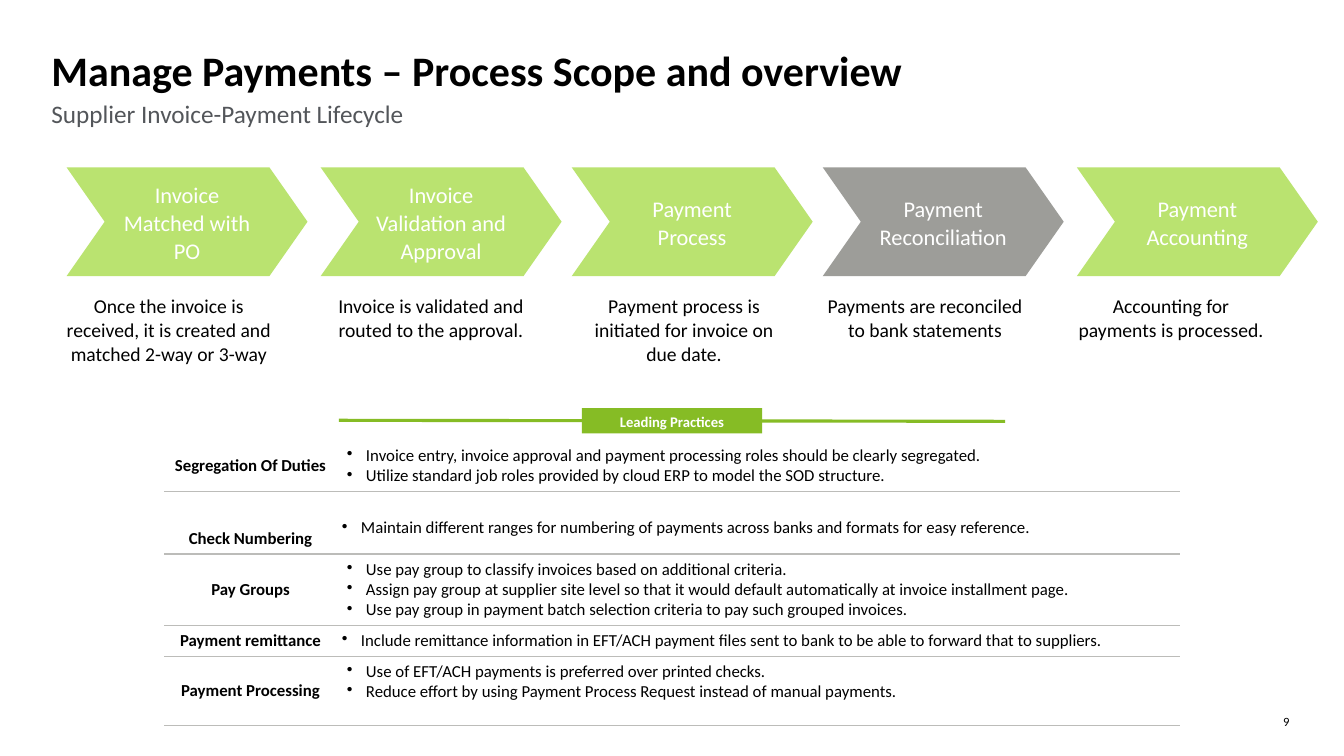
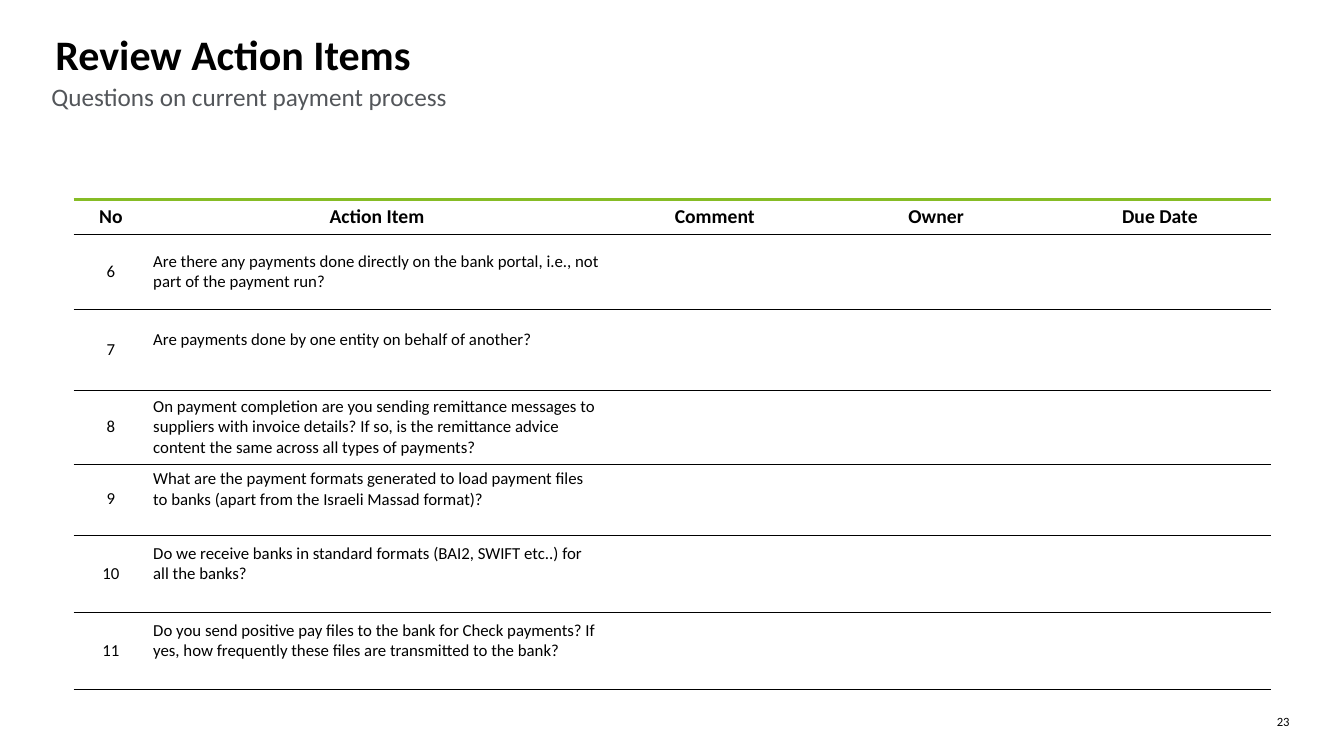
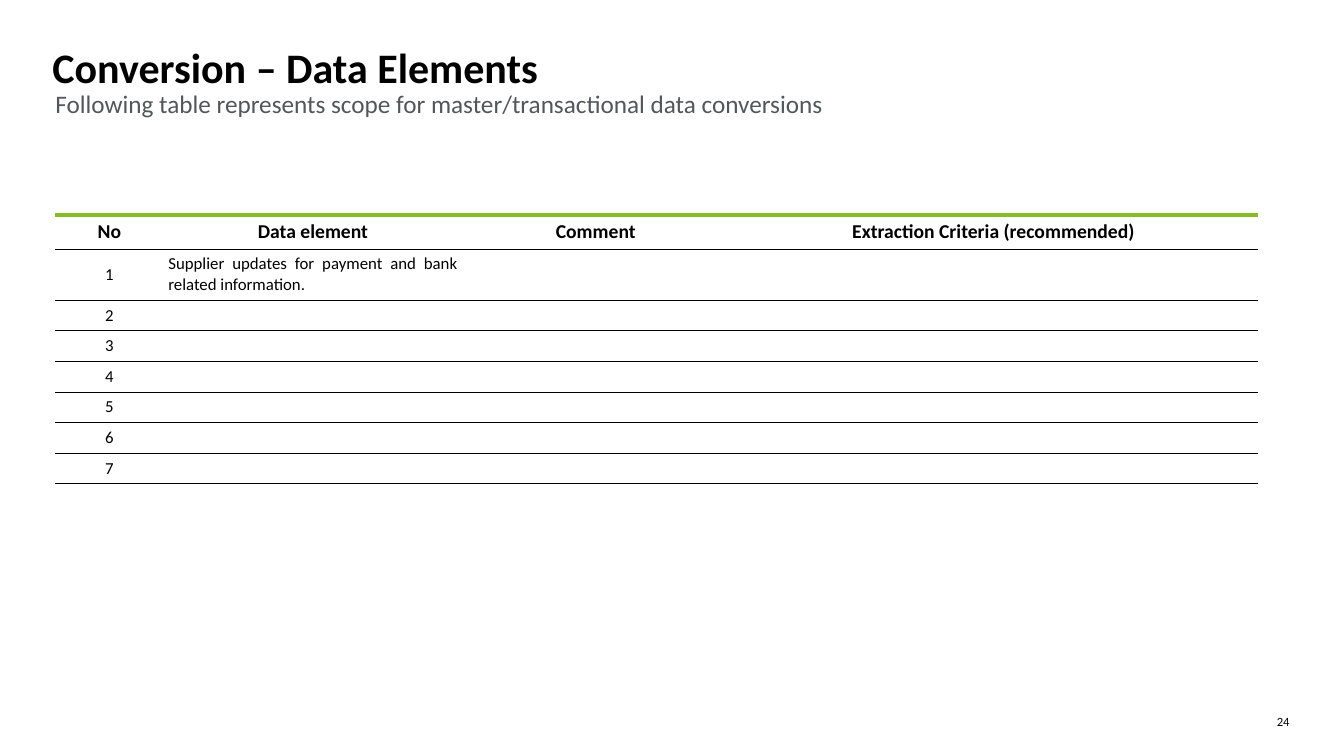
from dataclasses import dataclass

from lxml import etree
from pptx import Presentation
from pptx.dml.color import RGBColor
from pptx.enum.shapes import MSO_CONNECTOR, MSO_SHAPE
from pptx.enum.text import MSO_ANCHOR, MSO_AUTO_SIZE, PP_ALIGN
from pptx.oxml.ns import qn
from pptx.util import Pt

LEFT, CENTER, RIGHT, JUSTIFY = PP_ALIGN.LEFT, PP_ALIGN.CENTER, PP_ALIGN.RIGHT, PP_ALIGN.JUSTIFY
TOP, MIDDLE, BOTTOM = MSO_ANCHOR.TOP, MSO_ANCHOR.MIDDLE, MSO_ANCHOR.BOTTOM
NO_FIT = MSO_AUTO_SIZE.NONE
CHEVRON, RECTANGLE = MSO_SHAPE.CHEVRON, MSO_SHAPE.RECTANGLE
STRAIGHT = MSO_CONNECTOR.STRAIGHT

EMU_PER_PX = 9144  # 100 px to the inch
TITLE_ONLY = 5
NARROW = (5, 5, 5, 5)
WIDE = (10, 5, 10, 5)
LIFTED = (5, 5, 5, 25)


@dataclass(frozen=True)
class TextStyle:
    size: float
    color: str = "000000"
    bold: bool = False


class Theme:
    font = "Calibri"
    green = "86BC25"
    light_green = "BAE370"
    gray = "9D9D99"
    title = TextStyle(30, bold=True)
    subtitle = TextStyle(18, "53565A")
    step = TextStyle(16, "FFFFFF")
    caption = TextStyle(14)
    banner = TextStyle(10.5, "FFFFFF", True)
    header = TextStyle(14, bold=True)
    label = TextStyle(12, bold=True)
    body = TextStyle(12)
    page = TextStyle(9)
    accent_rule = (green, 3)
    black_rule = ("000000", 0.25)
    gray_rule = ("BCBCB9", 1)


@dataclass
class Cell:
    paragraphs: tuple = ()
    style: TextStyle = Theme.body
    align: PP_ALIGN = LEFT
    anchor: MSO_ANCHOR = MIDDLE
    margins: tuple = NARROW
    bullet: bool = False


def px(value):
    return value * EMU_PER_PX


def set_values(target, values):
    for name, value in values.items():
        setattr(target, name, value)


def add_bullet(paragraph):
    properties = paragraph._p.get_or_add_pPr()
    properties.set("marL", str(px(19)))
    properties.set("indent", str(px(-19)))
    etree.SubElement(properties, qn("a:buChar"), char="•")


def add_border(cell, side, rule):
    """Draw one cell edge; rule is (colour, points) or None for no line."""
    properties = cell._tc.get_or_add_tcPr()
    line = etree.SubElement(properties, qn(f"a:ln{side}"))
    if rule is None:
        etree.SubElement(line, qn("a:noFill"))
        return
    color, points = rule
    line.set("w", str(int(Pt(points))))
    fill = etree.SubElement(line, qn("a:solidFill"))
    etree.SubElement(fill, qn("a:srgbClr"), val=color)


class Deck:
    def __init__(self):
        self.presentation = Presentation()
        set_values(self.presentation, {"slide_width": px(1333), "slide_height": px(750)})
        self.slide = None

    def add_paragraphs(self, frame, paragraphs, style, align=LEFT, **paragraph_values):
        for index, text in enumerate(paragraphs):
            paragraph = frame.add_paragraph() if index else frame.paragraphs[0]
            set_values(paragraph, {"alignment": align, **paragraph_values})
            run = paragraph.add_run()
            run.text = text
            set_values(run.font, {"name": Theme.font, "size": Pt(style.size), "bold": style.bold})
            run.font.color.rgb = RGBColor.from_string(style.color)

    def format_frame(self, frame, anchor=TOP, margin=0):
        sides = ("left", "top", "right", "bottom")
        set_values(frame, {"word_wrap": True, "auto_size": NO_FIT, "vertical_anchor": anchor,
                           **{f"margin_{side}": px(margin) for side in sides}})

    def text(self, box, text, style, align=LEFT, **paragraph_values):
        frame = self.slide.shapes.add_textbox(*map(px, box)).text_frame
        self.format_frame(frame)
        self.add_paragraphs(frame, [text], style, align, **paragraph_values)

    def new_slide(self, number, title, title_at, subtitle, subtitle_box):
        layout = self.presentation.slide_layouts[TITLE_ONLY]
        self.slide = self.presentation.slides.add_slide(layout)
        heading = self.slide.shapes.title
        left, top = title_at
        set_values(heading, {"left": px(left), "top": px(top), "width": px(1224), "height": px(37)})
        self.format_frame(heading.text_frame, MIDDLE)
        self.add_paragraphs(heading.text_frame, [title], Theme.title)
        self.text(subtitle_box, subtitle, Theme.subtitle, space_after=Pt(10))
        self.text((1245, 708, 34, 15), str(number), Theme.page, RIGHT)

    def shape(self, kind, box, color, text, style, margin, adjustment=None):
        shape = self.slide.shapes.add_shape(kind, *map(px, box))
        shape.shadow.inherit = False
        shape.fill.solid()
        shape.fill.fore_color.rgb = RGBColor.from_string(color)
        shape.line.fill.background()
        if adjustment is not None:
            shape.adjustments[0] = adjustment
        self.format_frame(shape.text_frame, MIDDLE, margin)
        self.add_paragraphs(shape.text_frame, [text], style, CENTER, line_spacing=1.06)

    def line(self, ends, color, points):
        connector = self.slide.shapes.add_connector(STRAIGHT, *map(px, ends))
        connector.line.color.rgb = RGBColor.from_string(color)
        connector.line.width = Pt(points)
        etree.SubElement(connector._element.spPr, qn("a:effectLst"))

    def table(self, left, top, widths, heights, rows, rules):
        """Place rows of Cell; rules lists the horizontal lines from top to bottom."""
        frame = self.slide.shapes.add_table(
            len(heights), len(widths), px(left), px(top), px(sum(widths)), px(sum(heights)))
        table = frame.table
        set_values(table, {"first_row": False, "horz_banding": False})
        for column, width in zip(table.columns, widths):
            column.width = px(width)
        for row, height in zip(table.rows, heights):
            row.height = px(height)
        for row_index, cells in enumerate(rows):
            for column_index, content in enumerate(cells):
                edges = {"L": None, "R": None, "T": rules[row_index], "B": rules[row_index + 1]}
                self.fill_cell(table.cell(row_index, column_index), content, edges)

    def fill_cell(self, cell, content, edges):
        for side, rule in edges.items():
            add_border(cell, side, rule)
        cell.fill.background()
        left, top, right, bottom = map(px, content.margins)
        set_values(cell, {"margin_left": left, "margin_top": top, "margin_right": right,
                          "margin_bottom": bottom, "vertical_anchor": content.anchor})
        frame = cell.text_frame
        self.add_paragraphs(frame, content.paragraphs, content.style, content.align)
        if content.bullet:
            for paragraph in frame.paragraphs:
                add_bullet(paragraph)
        if not content.paragraphs:
            size = str(content.style.size * 100)
            etree.SubElement(frame.paragraphs[0]._p, qn("a:endParaRPr"), sz=size)

    def form_table(self, left, top, widths, heights, headers, items):
        """Table with a green top rule; items are (number, Cell), the other columns stay empty."""
        rows = [[Cell((header,), Theme.header, CENTER) for header in headers]]
        for number, item in items:
            spare = [Cell() for _ in headers[2:]]
            rows.append([Cell((str(number),), align=CENTER), item, *spare])
        rules = [Theme.accent_rule] + [Theme.black_rule] * len(rows)
        self.table(left, top, widths, heights, rows, rules)


def add_payment_overview(deck):
    deck.new_slide(9, "Manage Payments – Process Scope and overview", (51, 51),
                   "Supplier Invoice-Payment Lifecycle", (51, 98, 781, 30))
    steps = [
        (66, "Invoice Matched with PO", Theme.light_green, 66, 203,
         "Once the invoice is received, it is created and matched 2-way or 3-way"),
        (318, "Invoice Validation and Approval", Theme.light_green, 326, 203,
         "Invoice is validated and routed to the approval."),
        (567, "Payment Process", Theme.light_green, 577, 203,
         "Payment process is initiated for invoice on due date."),
        (816, "Payment Reconciliation", Theme.gray, 816, 203,
         "Payments are reconciled to bank statements"),
        (1068, "Payment Accounting", Theme.light_green, 1068, 187,
         "Accounting for payments is processed."),
    ]
    for left, name, color, caption_left, caption_width, caption in steps:
        deck.shape(CHEVRON, (left, 166, 239, 108), color, name, Theme.step, 11, 0.35)
        deck.text((caption_left, 292, caption_width, 72), caption, Theme.caption, CENTER)

    deck.line((336, 417, 997, 418), Theme.green, 2.25)
    deck.shape(RECTANGLE, (577, 405, 179, 25), Theme.green, "Leading Practices", Theme.banner, 10)

    practices = [
        ("Segregation Of Duties", MIDDLE, WIDE, WIDE, (
            "Invoice entry, invoice approval and payment processing roles should be clearly segregated.",
            "Utilize standard job roles provided by cloud ERP to model the SOD structure.")),
        ("Check Numbering", BOTTOM, NARROW, (5, 26, 5, 5), (
            "Maintain different ranges for numbering of payments across banks and formats for easy reference.",)),
        ("Pay Groups", MIDDLE, WIDE, WIDE, (
            "Use pay group to classify invoices based on additional criteria.",
            "Assign pay group at supplier site level so that it would default automatically at invoice installment page.",
            "Use pay group in payment batch selection criteria to pay such grouped invoices.")),
        ("Payment remittance", MIDDLE, NARROW, NARROW, (
            "Include remittance information in EFT/ACH payment files sent to bank to be able to forward that to suppliers.",)),
        ("Payment Processing", MIDDLE, WIDE, WIDE, (
            "Use of EFT/ACH payments is preferred over printed checks.",
            "Reduce effort by using Payment Process Request instead of manual payments.")),
    ]
    rows = [[Cell((label,), Theme.label, CENTER, anchor, label_margins),
             Cell(points, anchor=TOP, margins=point_margins, bullet=True)]
            for label, anchor, label_margins, point_margins, points in practices]
    deck.table(163, 437, (171, 836), (49, 62, 69, 30, 69), rows,
               [None] + [Theme.gray_rule] * len(rows))


def add_action_items(deck):
    deck.new_slide(23, "Review Action Items", (55, 35),
                   "Questions on current payment process", (51, 81, 1231, 83))
    questions = [
        ("Are there any payments done directly on the bank portal, i.e., not part of the payment run?", NARROW),
        ("Are payments done by one entity on behalf of another?", LIFTED),
        ("On payment completion are you sending remittance messages to suppliers with invoice details? "
         "If so, is the remittance advice content the same across all types of payments?", NARROW),
        ("What are the payment formats generated to load payment files to banks "
         "(apart from the Israeli Massad format)?", LIFTED),
        ("Do we receive banks in standard formats (BAI2, SWIFT etc..) for all the banks?", LIFTED),
        ("Do you send positive pay files to the bank for Check payments? "
         "If yes, how frequently these files are transmitted to the bank?", LIFTED),
    ]
    items = [(number, Cell((question,), margins=margins))
             for number, (question, margins) in enumerate(questions, 6)]
    deck.form_table(73, 198, (74, 454, 216, 223, 221), (34, 75, 80, 73, 69, 77, 76),
                    ("No", "Action Item", "Comment", "Owner", "Due Date"), items)


def add_data_elements(deck):
    deck.new_slide(24, "Conversion – Data Elements", (52, 48),
                   "Following table represents scope for master/transactional data conversions",
                   (55, 88, 1224, 83))
    element = Cell(("Supplier updates for payment and bank related information.",),
                   align=JUSTIFY, anchor=TOP)
    items = [(1, element)] + [(number, Cell()) for number in range(2, 8)]
    deck.form_table(55, 213, (107, 297, 264, 525), (34, 50) + (30,) * 6,
                    ("No", "Data element", "Comment", "Extraction Criteria (recommended)"), items)


def main():
    deck = Deck()
    add_payment_overview(deck)
    add_action_items(deck)
    add_data_elements(deck)
    deck.presentation.save("out.pptx")


if __name__ == "__main__":
    main()
